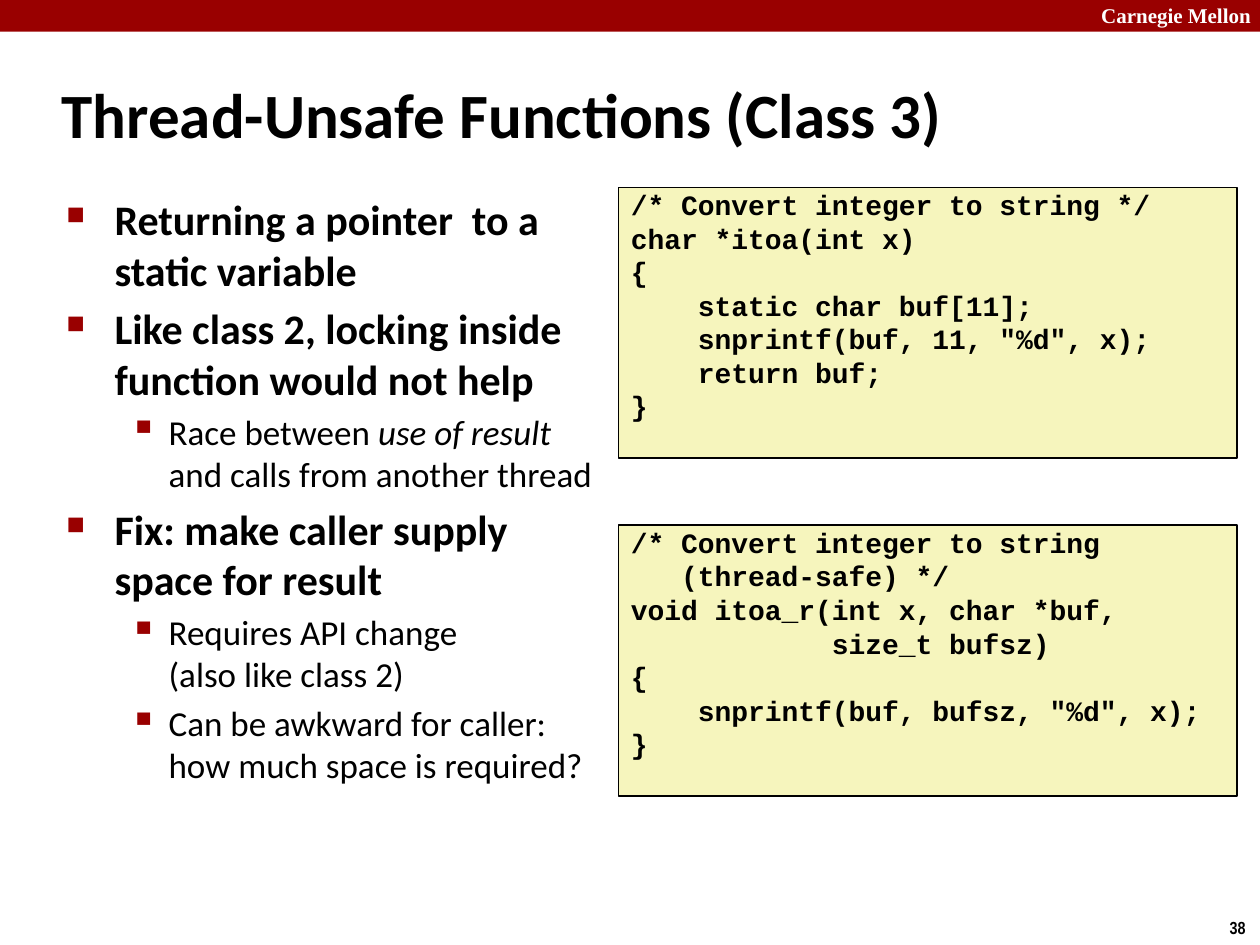
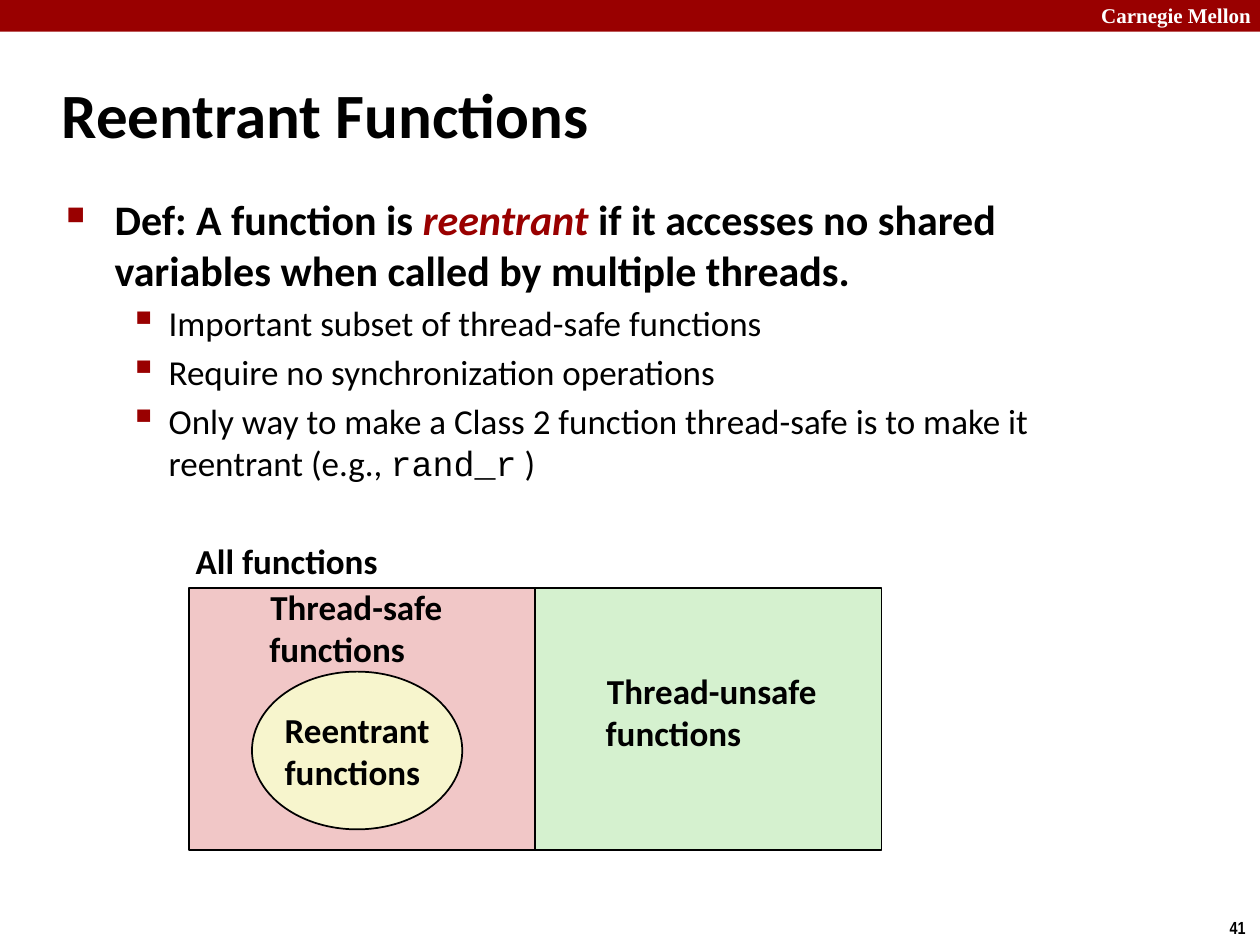
import pptx
import pptx.dml.color
import pptx.enum.shapes
import pptx.enum.text
import pptx.oxml.ns
import pptx.util
from lxml import etree

Cm = pptx.util.Cm
Pt = pptx.util.Pt
SHAPE = pptx.enum.shapes.MSO_SHAPE
ALIGN = pptx.enum.text.PP_ALIGN
ANCHOR = pptx.enum.text.MSO_ANCHOR

RED = "990000"
BLACK = "000000"
WHITE = "FFFFFF"
CREAM = "F6F5BD"
PINK = "F1C7C7"
GREEN = "D5F1CF"
IVORY = "F7F5CD"

SANS = "Calibri"
MONO = "Courier New"

LEVELS = [
    {"size": 24, "bold": True, "left": 0.97, "hang": 0.97, "mark": "■", "scale": 60},
    {"size": 20, "bold": False, "left": 2.06, "hang": 0.79, "mark": "▪", "scale": 110},
]

STATIC_CODE = """/* Convert integer to string */
char *itoa(int x)
{
    static char buf[11];
    snprintf(buf, 11, "%d", x);
    return buf;
}"""

SAFE_CODE = """/* Convert integer to string
   (thread-safe) */
void itoa_r(int x, char *buf,
            size_t bufsz)
{
    snprintf(buf, bufsz, "%d", x);
}"""

CLASS_POINTS = [
    (0, ["Returning a pointer  to a static variable"]),
    (0, ["Like class 2, locking inside function would not help"]),
    (1, ["Race between ", ("use of result", {"slant": True}), "\n",
         "and calls from another thread"]),
    (0, ["Fix: make caller supply", "\n", "space for result"]),
    (1, ["Requires API change", "\n", "(also like class 2)"]),
    (1, ["Can be awkward for caller:", "\n", "how much space is required?"]),
]

DEF_POINTS = [
    (0, ["Def: A function is ", ("reentrant", {"color": RED, "slant": True}),
         " if it accesses no shared variables when called by multiple threads."]),
    (1, ["Important subset of thread-safe functions"]),
    (1, ["Require no synchronization operations"]),
    (1, ["Only way to make a Class 2 function thread-safe is to make it reentrant (e.g., ",
         ("rand_r", {"face": MONO}), " )"]),
]


def tint(code):
    return pptx.dml.color.RGBColor.from_string(code)


def style(run, size, face=SANS, color=BLACK, bold=True, slant=False):
    font = run.font
    font.name = face
    font.size = Pt(size)
    font.bold = bold
    font.italic = slant
    font.color.rgb = tint(color)


def write(frame, text, size, align=ALIGN.LEFT, **look):
    frame.text = text
    for para in frame.paragraphs:
        para.alignment = align
        for run in para.runs:
            style(run, size, **look)


def add_box(slide, place, wrap=True):
    frame = slide.shapes.add_textbox(*map(Cm, place)).text_frame
    frame.word_wrap = wrap
    return frame


def add_form(slide, kind, place, fill, edge=BLACK):
    form = slide.shapes.add_shape(kind, *map(Cm, place))
    form.shadow.inherit = False
    form.fill.solid()
    form.fill.fore_color.rgb = tint(fill)
    if edge:
        form.line.color.rgb = tint(edge)
        form.line.width = Pt(1)
    else:
        form.line.fill.background()
    return form


def add_mark(para, level):
    props = para._p.get_or_add_pPr()
    props.set("marL", str(Cm(level["left"])))
    props.set("indent", str(-Cm(level["hang"])))
    qn = pptx.oxml.ns.qn
    hue = etree.SubElement(props, qn("a:buClr"))
    etree.SubElement(hue, qn("a:srgbClr"), val=RED)
    etree.SubElement(props, qn("a:buSzPct"), val=str(level["scale"] * 1000))
    etree.SubElement(props, qn("a:buChar"), char=level["mark"])


def add_points(slide, place, points):
    frame = add_box(slide, place)
    for spot, (depth, parts) in enumerate(points):
        para = frame.add_paragraph() if spot else frame.paragraphs[0]
        level = LEVELS[depth]
        add_mark(para, level)
        if spot:
            para.space_before = Pt(level["size"] * 0.2)
        for part in parts:
            if part == "\n":
                para.add_line_break()
                continue
            text, look = (part, {}) if isinstance(part, str) else part
            run = para.add_run()
            run.text = text
            style(run, level["size"], bold=level["bold"], **look)


def add_code(slide, top, code):
    form = add_form(slide, SHAPE.RECTANGLE, (12.47, top, 12.47, 5.46), CREAM)
    frame = form.text_frame
    frame.margin_top = frame.margin_bottom = 0
    frame.vertical_anchor = ANCHOR.TOP
    write(frame, code, 16, face=MONO)


def label(frame, text):
    frame.word_wrap = False
    frame.vertical_anchor = ANCHOR.MIDDLE
    write(frame, text, 20)
    frame.paragraphs[0].alignment = ALIGN.CENTER


def add_page(deck, title, number):
    slide = deck.slides.add_slide(deck.slide_layouts[5])
    add_form(slide, SHAPE.RECTANGLE, (0, 0, 25.4, 0.64), RED, None)
    write(add_box(slide, (21.95, -0.08, 3.63, 0.76)), "Carnegie Mellon", 12,
          face="Times New Roman", color=WHITE)
    write(add_box(slide, (24.54, 18.36, 0.86, 0.69), False), number, 10,
          face="Arial Narrow")
    head = slide.shapes.title
    head.left, head.top, head.width, head.height = map(Cm, (0.99, 1.22, 21.08, 2.11))
    head.text_frame.vertical_anchor = ANCHOR.MIDDLE
    write(head.text_frame, title, 36)
    return slide


def add_venn(slide):
    left, top, width, height = 3.81, 11.86, 6.98, 5.28
    for step, fill in enumerate((PINK, GREEN)):
        add_form(slide, SHAPE.RECTANGLE, (left + step * width, top, width, height), fill)
    core = add_form(slide, SHAPE.OVAL, (5.08, 13.54, 4.24, 3.18), IVORY)
    label(core.text_frame, "Reentrant\nfunctions")
    for text, place in (
        ("All functions", (3.66, 10.74, 4.24, 1.12)),
        ("Thread-unsafe\nfunctions", (11.96, 13.36, 4.78, 1.96)),
        ("Thread-safe\nfunctions", (5.18, 11.68, 4.01, 1.96)),
    ):
        label(add_box(slide, place), text)


def main():
    deck = pptx.Presentation()
    deck.slide_width, deck.slide_height = Cm(25.4), Cm(19.05)

    slide = add_page(deck, "Thread-Unsafe Functions (Class 3)", "38")
    add_points(slide, (1.09, 3.78, 11.81, 12.93), CLASS_POINTS)
    add_code(slide, 3.78, STATIC_CODE)
    add_code(slide, 10.59, SAFE_CODE)

    slide = add_page(deck, "Reentrant Functions", "41")
    add_points(slide, (1.09, 3.78, 21.95, 6.53), DEF_POINTS)
    add_venn(slide)

    deck.save("out.pptx")


if __name__ == "__main__":
    main()
